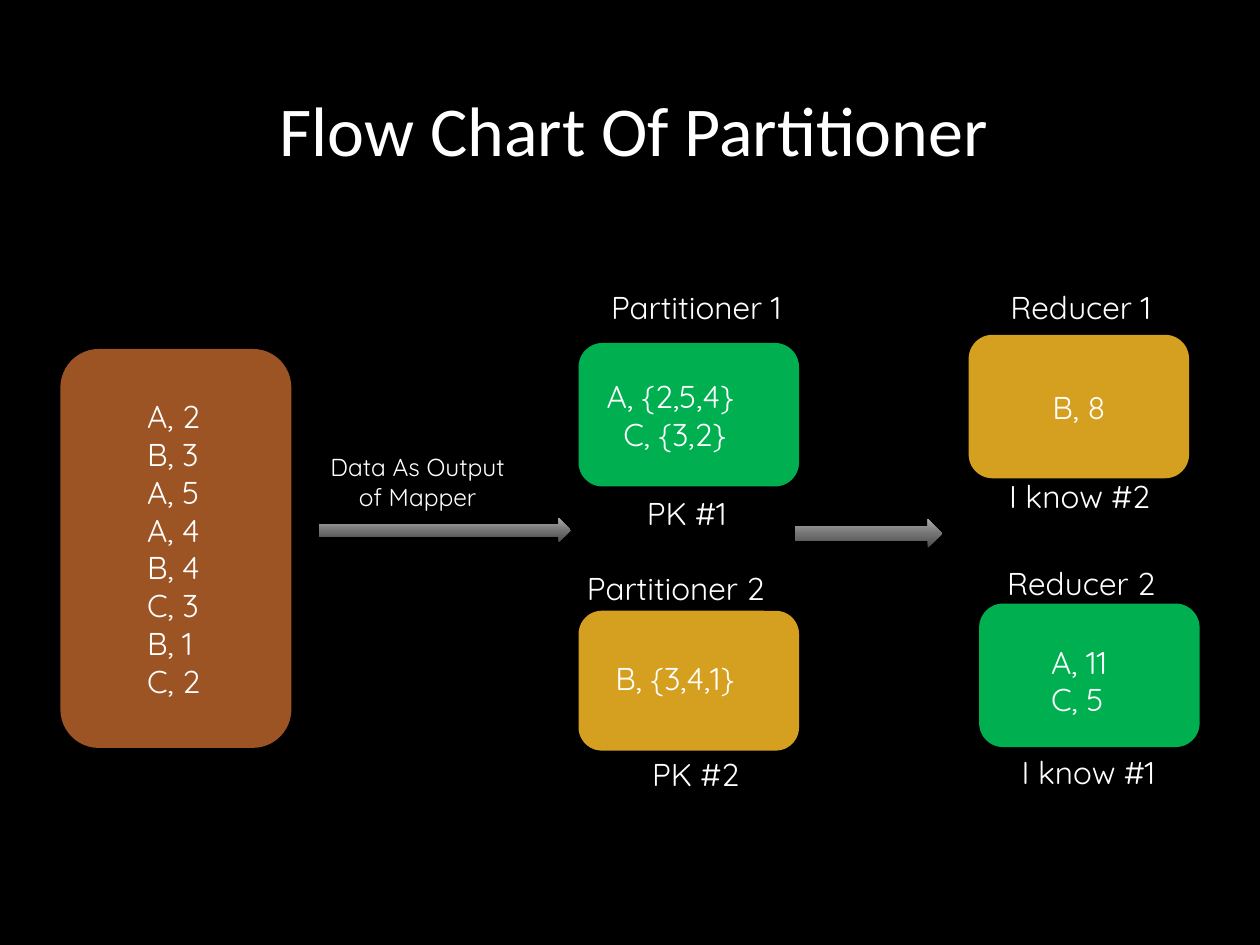
import copy
from dataclasses import dataclass

import pptx
import pptx.dml.color
import pptx.enum.shapes
import pptx.enum.text
import pptx.oxml.ns
import pptx.util

Pt = pptx.util.Pt
RGB = pptx.dml.color.RGBColor.from_string
SHAPE = pptx.enum.shapes.MSO_SHAPE
ALIGN = pptx.enum.text.PP_ALIGN
ANCHOR = pptx.enum.text.MSO_ANCHOR


@dataclass(frozen=True)
class Theme:
    background: str = "000000"
    text: str = "FFFFFF"
    brown: str = "9D5425"
    green: str = "00B050"
    gold: str = "D59F20"
    arrow: tuple = ((0, "4A4A4A"), (0.48, "737373"), (1, "A9A9A9"))
    title_font: str = "Calibri"
    body_font: str = "Quicksand"
    title_size: int = 40
    body_size: int = 18
    note_size: int = 14


theme = Theme()


def write_lines(box, lines, align, anchor, indents=(0,), size=theme.body_size,
                font=theme.body_font):
    """Fill a box with one paragraph per line; one indent serves all lines."""
    frame = box.text_frame
    frame.word_wrap = True
    frame.vertical_anchor = anchor
    if len(indents) == 1:
        indents = indents * len(lines)
    for index, (line, indent) in enumerate(zip(lines, indents)):
        para = frame.paragraphs[0] if index == 0 else frame.add_paragraph()
        para.alignment = align
        if indent:
            properties = para._p.get_or_add_pPr()
            properties.set("marL", str(Pt(indent)))
            properties.set("indent", "0")
        span = para.add_run()
        span.text = line
        formats = {"name": font, "size": Pt(size), "bold": False}
        for name, value in formats.items():
            setattr(span.font, name, value)
        span.font.color.rgb = RGB(theme.text)


def add_block(page, kind, bounds):
    """Add a preset shape without outline or shadow."""
    block = page.shapes.add_shape(kind, *map(Pt, bounds))
    block.shadow.inherit = False
    block.line.fill.background()
    return block


deck = pptx.Presentation()
deck.slide_width, deck.slide_height = Pt(720), Pt(540)
page = deck.slides.add_slide(deck.slide_layouts[5])
page.background.fill.solid()
page.background.fill.fore_color.rgb = RGB(theme.background)

# Title
title = page.shapes.title
title_place = {"left": 152.6, "top": 46.1, "width": 424.1, "height": 55.4}
for name, value in title_place.items():
    setattr(title, name, Pt(value))
write_lines(title, ["Flow Chart Of Partitioner"], ALIGN.LEFT, ANCHOR.TOP,
            size=theme.title_size, font=theme.title_font)
title.text_frame.word_wrap = False
title.text_frame.auto_size = pptx.enum.text.MSO_AUTO_SIZE.NONE

# Mapper output, partitioners and reducers: bounds, fill, lines, align, indents
mapper_pairs = ["A, 2", "B, 3", "A, 5", "A, 4", "B, 4", "C, 3", "B, 1", "C, 2"]
blocks = [
    ((34.5, 199.4, 132, 228), theme.brown, mapper_pairs, ALIGN.LEFT, (36,)),
    ((330.6, 196, 126, 82), theme.green, ["A, {2,5,4}", "C, {3,2}"],
     ALIGN.LEFT, (5, 14.5)),
    ((330.6, 349, 126, 79.9), theme.gold, [], ALIGN.CENTER, (0,)),
    ((553.5, 191.3, 126, 82), theme.gold, ["B, 8"], ALIGN.CENTER, (0,)),
    ((559.5, 344.9, 126, 82), theme.green, [], ALIGN.CENTER, (0,)),
]
for bounds, color, lines, align, indents in blocks:
    block = add_block(page, SHAPE.ROUNDED_RECTANGLE, bounds)
    block.fill.solid()
    block.fill.fore_color.rgb = RGB(color)
    write_lines(block, lines, align, ANCHOR.MIDDLE, indents)

# Flow arrows, shaded from dark at the bottom to light at the top
for bounds in [(182.2, 296, 144, 14), (454.3, 296.6, 84.2, 16.4)]:
    arrow = add_block(page, SHAPE.RIGHT_ARROW, bounds)
    arrow.fill.gradient()
    arrow.fill.gradient_angle = 90
    stop_list = arrow._element.spPr.find(".//" + pptx.oxml.ns.qn("a:gsLst"))
    stop_list.insert(1, copy.deepcopy(stop_list[0]))
    for stop, (position, color) in zip(arrow.fill.gradient_stops, theme.arrow):
        stop.position = position
        stop.color.rgb = RGB(color)

# Labels: bounds, lines, align, indent, size
body, note = theme.body_size, theme.note_size
labels = [
    ((334.8, 161.3, 126, 29), ["Partitioner 1"], ALIGN.CENTER, 0, body),
    ((328.3, 321.8, 126, 29), ["Partitioner 2"], ALIGN.LEFT, 0, body),
    ((322.6, 373, 126, 29), ["B, {3,4,1}"], ALIGN.CENTER, 0, body),
    ((349.9, 278.6, 85, 29), ["PK #1"], ALIGN.CENTER, 0, body),
    ((355, 427.7, 85, 29), ["PK #2"], ALIGN.CENTER, 0, body),
    ((554.6, 161.3, 126, 29), ["Reducer 1"], ALIGN.CENTER, 0, body),
    ((559.4, 319, 126, 29), ["Reducer 2"], ALIGN.LEFT, 9, body),
    ((569.5, 269.3, 113.8, 29), ["I know #2"], ALIGN.LEFT, 0, body),
    ((576.7, 427, 105.1, 29), ["I know #1"], ALIGN.LEFT, 0, body),
    ((569.5, 363.6, 102.2, 51), ["A, 11", "C, 5"], ALIGN.LEFT, 24, body),
    ((175.7, 254.9, 126, 41), ["Data As Output of Mapper"], ALIGN.CENTER, 0, note),
]
for bounds, lines, align, indent, size in labels:
    label = page.shapes.add_textbox(*map(Pt, bounds))
    write_lines(label, lines, align, ANCHOR.TOP, (indent,), size)

deck.save("out.pptx")
